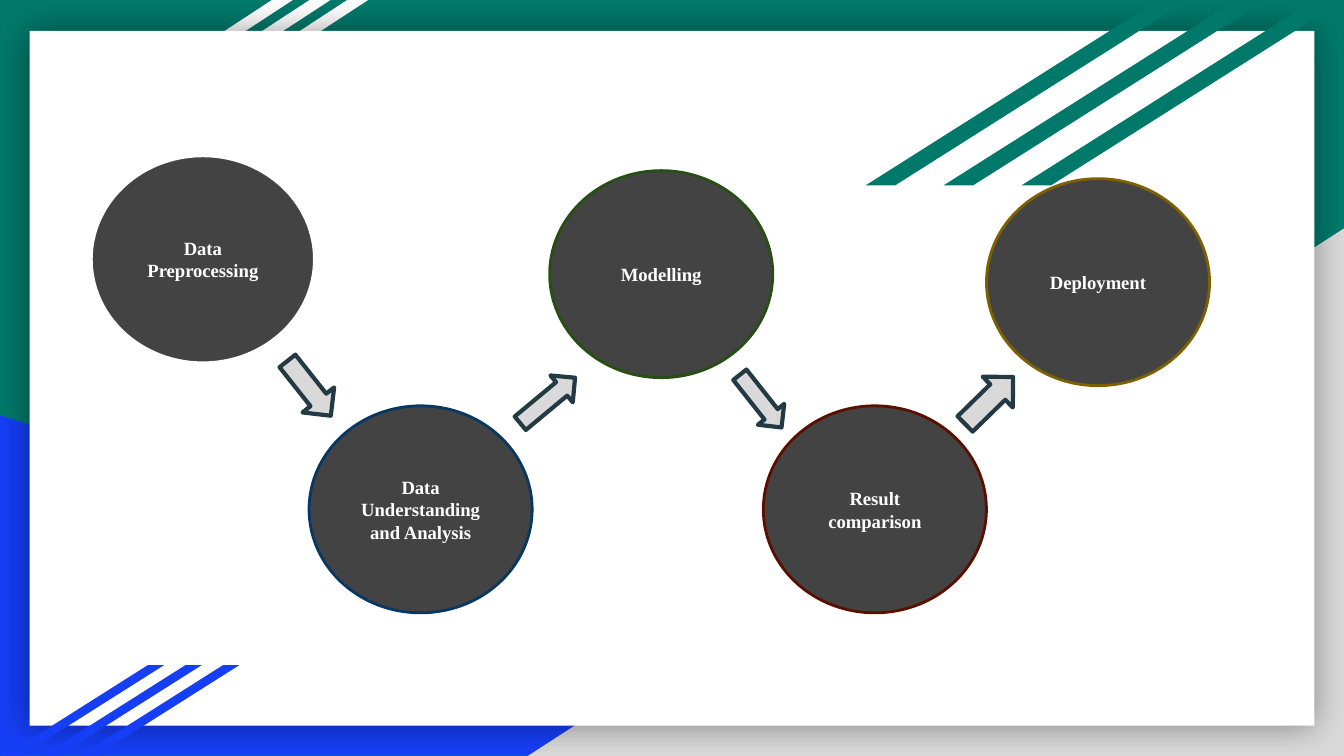
from dataclasses import dataclass

from lxml.etree import SubElement
from pptx import Presentation
from pptx.dml.color import RGBColor
from pptx.enum.shapes import MSO_SHAPE
from pptx.enum.text import MSO_ANCHOR, PP_ALIGN
from pptx.oxml.ns import qn
from pptx.util import Inches, Pt


@dataclass(frozen=True)
class Theme:
    green: str = "00796B"
    blue: str = "163EF5"
    white: str = "FFFFFF"
    grey: str = "D9D9D9"
    dark: str = "434343"
    arrow_edge: str = "233A44"
    shadow: str = "000000"
    font: str = "Times New Roman"
    label_size: int = 10
    step_edge: float = 1.5
    arrow_edge_width: float = 2.25


theme = Theme()


def add_figure(preset, box, fill, edge=None, edge_width=0):
    """Add a preset shape at box (left, top, width, height in inches), without a shadow."""
    figure = slide.shapes.add_shape(preset, *(Inches(length) for length in box))
    figure.shadow.inherit = False
    figure.fill.solid()
    figure.fill.fore_color.rgb = RGBColor.from_string(fill)
    if edge:
        figure.line.color.rgb = RGBColor.from_string(edge)
        figure.line.width = Pt(edge_width)
    else:
        figure.line.fill.background()
    return figure


def add_stripes(left, top, width, height, gap, slant, fill):
    """Add three equally spaced slanted stripes, starting from the rightmost."""
    for index in (2, 1, 0):
        box = (left + index * gap, top, width, height)
        stripe = add_figure(MSO_SHAPE.PARALLELOGRAM, box, fill)
        stripe.adjustments[0] = slant


deck = Presentation()
deck.slide_width = Inches(10)
deck.slide_height = Inches(10) * 9 // 16
slide = deck.slides.add_slide(deck.slide_layouts[6])
slide.background.fill.solid()
slide.background.fill.fore_color.rgb = RGBColor.from_string(theme.green)

# Coloured corners, the white card and the stripes around it
add_figure(MSO_SHAPE.RIGHT_TRIANGLE, (0, 3.09, 8.06, 2.53), theme.blue)
grey_corner = add_figure(MSO_SHAPE.RIGHT_TRIANGLE, (3.92, 1.7, 6.08, 3.93), theme.grey)
grey_corner._element.spPr.find(qn("a:xfrm")).set("flipH", "1")
add_stripes(0.28, 0, 1.9, 1.14, 0.28, 1.53, theme.white)

card = add_figure(MSO_SHAPE.RECTANGLE, (0.22, 0.23, 9.56, 5.17), theme.white)
effects = card._element.spPr.find(qn("a:effectLst"))
glow = SubElement(effects, qn("a:outerShdw"), blurRad=str(Pt(18)), dist="0", dir="0",
                  algn="ctr", rotWithShape="0")
tint = SubElement(glow, qn("a:srgbClr"), val=theme.shadow)
SubElement(tint, qn("a:alpha"), val="40000")

add_stripes(0.04, 4.95, 1.18, 0.67, 0.28, 1.58, theme.blue)
add_stripes(6.44, 0, 2.4, 1.38, 0.58, 1.58, theme.green)

# Steps of the process
steps = [
    ("Data Preprocessing", 0.68, 1.16, theme.white),
    ("Data Understanding and Analysis", 2.3, 3.02, "073763"),
    ("Modelling", 4.09, 1.27, "274E13"),
    ("Result comparison", 5.68, 3.02, "5B0F00"),
    ("Deployment", 7.34, 1.33, "7F6000"),
]
for label, left, top, edge in steps:
    step = add_figure(MSO_SHAPE.OVAL, (left, top, 1.66, 1.54), theme.dark, edge, theme.step_edge)
    frame = step.text_frame
    frame.text = label
    frame.word_wrap = True
    frame.vertical_anchor = MSO_ANCHOR.MIDDLE
    frame.margin_left = frame.margin_right = Inches(0.1)
    frame.margin_top = frame.margin_bottom = Inches(0.1)
    paragraph = frame.paragraphs[0]
    paragraph.alignment = PP_ALIGN.CENTER
    font = paragraph.runs[0].font
    font.name, font.size, font.bold = theme.font, Pt(theme.label_size), True
    font.color.rgb = RGBColor.from_string(theme.white)

# Block arrows from each step to the next
arrows = [
    ((2.04, 2.74, 0.52, 0.3), 51.6),
    ((3.81, 2.85, 0.53, 0.26), 320.3),
    ((5.41, 2.86, 0.5, 0.25), 51.7),
    ((7.11, 2.82, 0.5, 0.32), 315.6),
]
for box, angle in arrows:
    arrow = add_figure(MSO_SHAPE.RIGHT_ARROW, box, theme.grey,
                       theme.arrow_edge, theme.arrow_edge_width)
    arrow.rotation = angle

deck.save("out.pptx")
